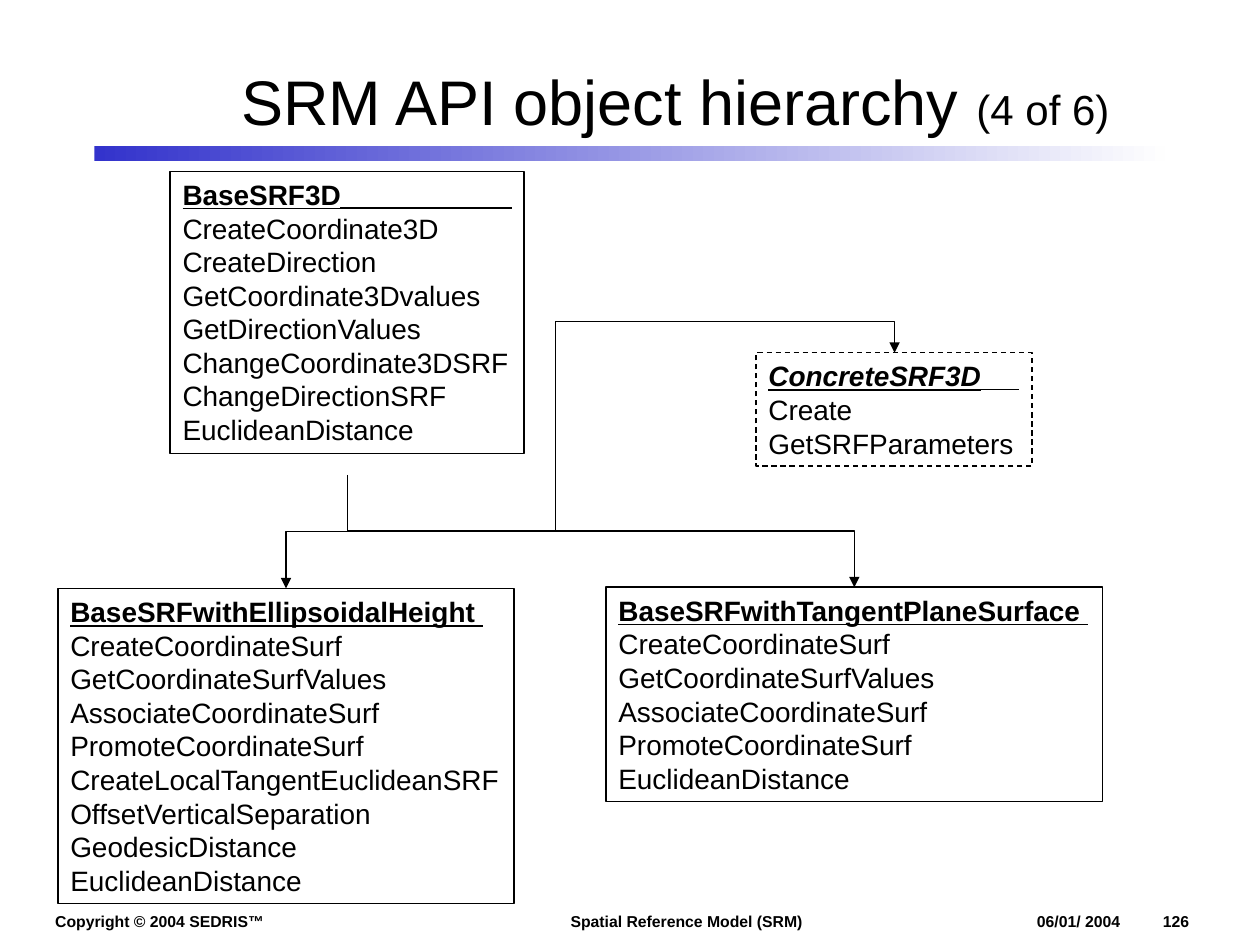
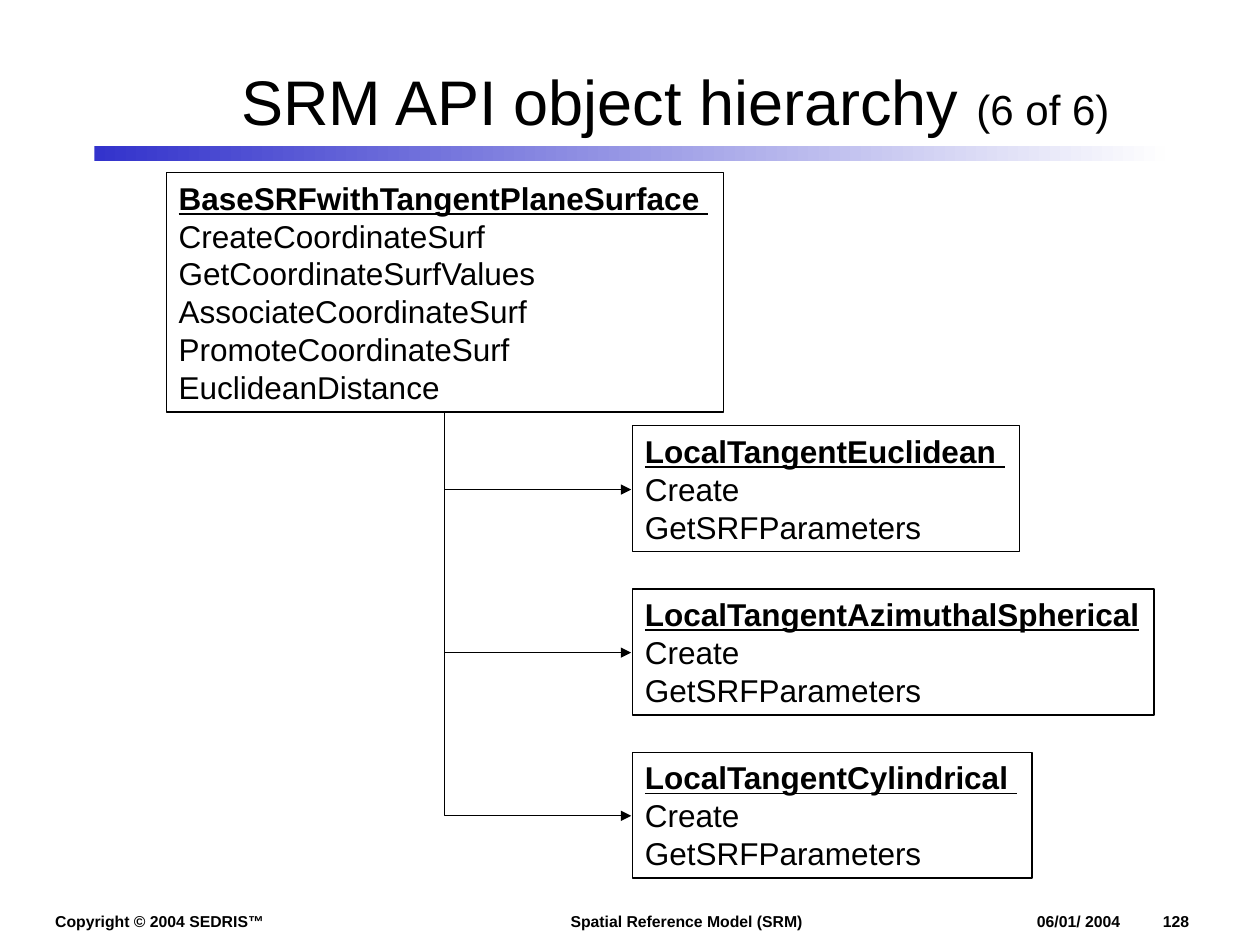
from lxml.etree import SubElement
from pptx import Presentation
from pptx.dml.color import RGBColor
from pptx.enum.dml import MSO_LINE as Dash
from pptx.enum.shapes import MSO_CONNECTOR as Link, MSO_SHAPE as Kind
from pptx.enum.text import MSO_ANCHOR as Anchor, PP_ALIGN as Align
from pptx.oxml.ns import qn
from pptx.util import Inches, Pt

SURF = ["CreateCoordinateSurf", "GetCoordinateSurfValues",
        "AssociateCoordinateSurf", "PromoteCoordinateSurf"]
PLANE = ["BaseSRFwithTangentPlaneSurface ", *SURF, "EuclideanDistance"]
LEAF = ["Create", "GetSRFParameters"]


def color(code):
    return RGBColor.from_string(code)


class Deck:
    face, ink, paper, blue, pale = "Arial", "000000", "FFFFFF", "3333CC", "FEFEFE"

    def __init__(self):
        self.prs = Presentation()
        self.prs.slide_width, self.prs.slide_height = Inches(10), Inches(7.5)

    def page(self, part, number):
        self.slide = self.prs.slides.add_slide(self.prs.slide_layouts[6])
        self.shapes = self.slide.shapes
        self.note(0.34, 7.19, 1.9, 0.25, "Copyright © 2004 SEDRIS™")
        self.note(4.43, 7.19, 2.04, 0.25, "Spatial Reference Model (SRM)")
        self.note(8.23, 7.24, 1.44, 0.15, f"06/01/ 2004\t{number}", 0, 1)
        self.band()
        self.title("SRM API object hierarchy ", part)

    def frame(self, x, y, w, h, inset=0.1):
        shape = self.shapes.add_textbox(Inches(x), Inches(y), Inches(w), Inches(h))
        text = shape.text_frame
        text.word_wrap = True
        text.margin_left = text.margin_right = Inches(inset)
        text.margin_top = text.margin_bottom = Inches(inset / 2)
        return shape

    def style(self, item, size, bold=False):
        font = item.font
        font.name, font.size, font.bold = self.face, Pt(size), bold
        font.color.rgb = color(self.ink)
        return font

    def note(self, x, y, w, h, words, inset=0.1, stop=None):
        para = self.frame(x, y, w, h, inset).text_frame.paragraphs[0]
        para.text = words
        if stop:
            stops = SubElement(para._p.get_or_add_pPr(), qn("a:tabLst"))
            SubElement(stops, qn("a:tab"), pos=str(Inches(stop)), algn="l")
        self.style(para, 9, True)

    def band(self):
        bar = self.shapes.add_shape(
            Kind.RECTANGLE, Inches(0.75), Inches(1.16), Inches(8.5), Inches(0.12))
        bar.shadow.inherit = False
        bar.line.fill.background()
        bar.fill.gradient()
        bar.fill.gradient_angle = 0
        for stop, code in zip(bar.fill.gradient_stops, (self.blue, self.pale)):
            stop.color.rgb = color(code)

    def title(self, words, part):
        text = self.frame(1.21, 0.25, 8.3, 1.09).text_frame
        text.vertical_anchor = Anchor.MIDDLE
        para = text.paragraphs[0]
        para.alignment = Align.CENTER
        for piece, size in ((words, 36), (part, 24)):
            run = para.add_run()
            run.text = piece
            self.style(run, size)

    def box(self, x, y, w, h, names, size, draft=False):
        shape = self.frame(x, y, w, h)
        shape.fill.solid()
        shape.fill.fore_color.rgb = color(self.paper)
        self.stroke(shape.line)
        if draft:
            shape.line.dash_style = Dash.DASH
        text = shape.text_frame
        for i, name in enumerate(names):
            para = text.add_paragraph() if i else text.paragraphs[0]
            head = i == 0
            para.text = name
            font = self.style(para, size, head)
            font.underline = head
            font.italic = head and draft

    def stroke(self, line):
        line.color.rgb = color(self.ink)
        line.width = Pt(0.75)

    def link(self, kind, x1, y1, x2, y2, arrow=True):
        link = self.shapes.add_connector(
            kind, Inches(x1), Inches(y1), Inches(x2), Inches(y2))
        self.stroke(link.line)
        props = link._element.spPr
        if arrow:
            SubElement(props.find(qn("a:ln")), qn("a:tailEnd"), type="triangle")
        SubElement(props, qn("a:effectLst"))
        return props

    def rule(self, x1, x2, y):
        self.link(Link.STRAIGHT, x1, y, x2, y, False)

    def bend(self, props, preset, **adjust):
        geom = props.find(qn("a:prstGeom"))
        geom.set("prst", preset)
        for name, value in adjust.items():
            SubElement(geom.find(qn("a:avLst")), qn("a:gd"),
                       name=name, fmla=f"val {value}")

    def drop(self, x1, y1, x2, y2, preset):
        midx, midy = (x1 + x2) / 2, (y1 + y2) / 2
        long, wide = (y2 - y1) / 2, abs(x2 - x1) / 2
        side, turn = (1, 270) if x2 > x1 else (-1, 90)
        props = self.link(Link.ELBOW, midx + side * long, midy - wide,
                          midx - side * long, midy + wide)
        props.find(qn("a:xfrm")).set("rot", str(turn * 60000))
        self.bend(props, preset)

    def climb(self, x1, y1, x2, y2, across, above):
        props = self.link(Link.ELBOW, x1, y1, x2, y2)
        self.bend(props, "bentConnector4", adj1=across, adj2=above)


def bases(deck):
    deck.page("(4 of 6)", 126)
    deck.box(1.35, 1.36, 2.81, 2.24, [
        "BaseSRF3D", "CreateCoordinate3D", "CreateDirection",
        "GetCoordinate3Dvalues", "GetDirectionValues", "ChangeCoordinate3DSRF",
        "ChangeDirectionSRF", "EuclideanDistance"], 16)
    deck.rule(2.7, 4.06, 1.65)
    deck.box(4.81, 4.66, 3.94, 1.7, PLANE, 16)
    deck.drop(2.76, 3.77, 6.78, 4.66, "bentConnector3")
    deck.box(6, 2.8, 2.19, 0.9, ["ConcreteSRF3D", *LEAF], 16, True)
    deck.rule(7.78, 8.09, 3.09)
    deck.climb(2.82, 4.22, 7.1, 2.8, 37100, 117600)
    deck.box(0.46, 4.67, 3.62, 2.5, [
        "BaseSRFwithEllipsoidalHeight ", *SURF, "CreateLocalTangentEuclideanSRF",
        "OffsetVerticalSeparation", "GeodesicDistance", "EuclideanDistance"], 16)
    deck.drop(2.76, 3.77, 2.27, 4.67, "bentConnector3")


def planes(deck):
    deck.page("(6 of 6)", 128)
    leaves = [("LocalTangentEuclidean ", 3.07),
              ("LocalTangentAzimuthalSpherical", 4.14),
              ("LocalTangentCylindrical ", 3.17)]
    for i, (name, wide) in enumerate(leaves):
        top = 3.38 + 1.295 * i
        deck.box(5.02, top, wide, 1, [name, *LEAF], 18)
        deck.drop(3.53, 3.28, 5.01, top + 0.505, "bentConnector2")
    deck.box(1.32, 1.37, 4.42, 1.9, PLANE, 18)


def main():
    deck = Deck()
    bases(deck)
    planes(deck)
    deck.prs.save("out.pptx")


if __name__ == "__main__":
    main()
